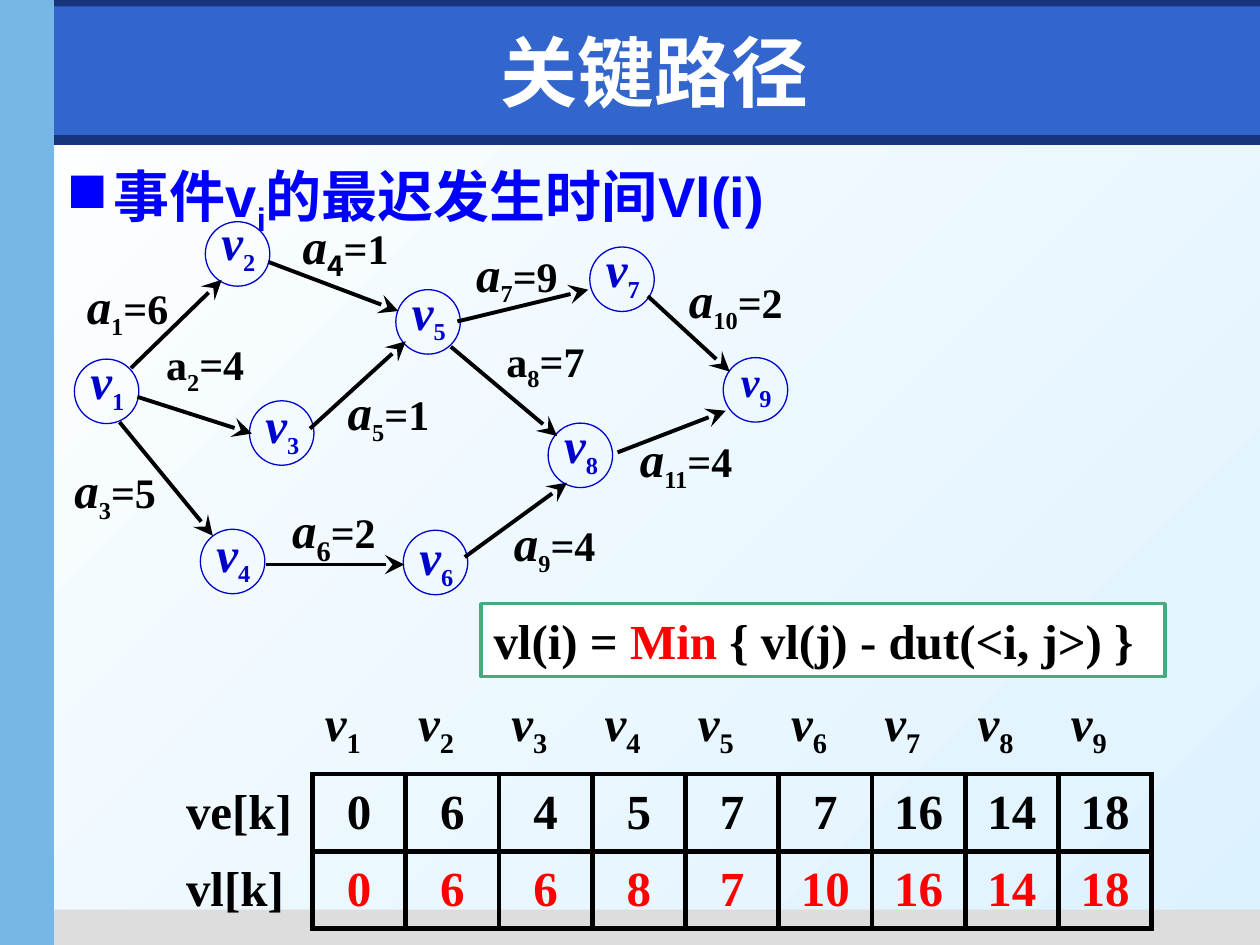
import pptx
import pptx.dml.color
import pptx.enum.shapes
import pptx.enum.text
import pptx.oxml
import pptx.oxml.ns
import pptx.util
from pptx.util import Cm

COLORS = {"white": "FFFFFF", "sky": "DDF2FF", "navy": "17347D", "grey": "DDDDDD",
          "blue": "3366CC", "side": "77B7E7", "heading": "0000FF", "vertex": "0000CC",
          "black": "000000", "red": "FF0000", "green": "45AB7D"}
SERIF, CJK = "Times New Roman", "Noto Sans CJK SC"

# colour, left, top, width, height (cm)
BARS = [("navy", 0.1, 2.72, 25.3, 0.2), ("grey", 0.89, 18.34, 24.51, 0.71),
        ("navy", 0, 0, 25.4, 0.53), ("blue", 1.09, 0.13, 24.31, 2.59),
        ("side", 0, 0, 1.09, 19.05)]

TITLE = "关键路径"
HEADING = [("事件v", {}), ("i", {"sub": True}), ("的最迟发生时间Vl(i)", {})]
FORMULA = [("vl(i) = ", {}), ("Min", {"color": "red"}), (" { vl(j) - dut(<i, j>) }", {})]

# circle left and top, rise of the label above the circle (cm)
VERTICES = [(1.5, 7.24, 0.25), (4.14, 4.47, 0.28), (5.03, 8.08, 0.2), (4.04, 10.67, 0.2),
            (7.98, 5.84, 0.25), (8.13, 10.69, 0.15), (11.89, 4.98, 0.25),
            (11.05, 8.53, 0.25), (14.58, 7.21, 0.13)]
DIAMETER = 1.3
VERTEX_SIZES = {9: 24}

# weight, label left and top, arrow start, arrow end (cm)
ACTIVITIES = [
    (6, (1.75, 5.56), (2.64, 7.42), (4.47, 5.64)),
    (4, (3.35, 6.83), (2.77, 8), (5.08, 8.74)),
    (5, (1.5, 9.27), (2.41, 8.51), (4.29, 10.8)),
    (1, (6.1, 4.34), (5.41, 5.28), (8.03, 6.27)),
    (1, (7.01, 7.7), (6.25, 8.64), (8.18, 6.88)),
    (2, (5.89, 10.08), (5.36, 11.38), (8.15, 11.38)),
    (9, (9.6, 4.9), (9.22, 6.48), (11.86, 5.84)),
    (7, (10.21, 6.76), (9.09, 6.99), (11.23, 8.79)),
    (4, (10.36, 10.34), (9.37, 11.23), (11.43, 9.73)),
    (2, (13.89, 5.44), (13.06, 5.97), (14.71, 7.49)),
    (4, (12.9, 8.64), (12.45, 9.12), (14.63, 8.28))]
LETTER_FORMATS = {2: {"size": 24, "italic": False}, 8: {"size": 24, "italic": False}}
INDEX_FORMATS = {4: {"size": 28, "name": CJK}, 6: {"size": 28}}

TIMES = [("ve[k]", "black", [0, 6, 4, 5, 7, 7, 16, 14, 18]),
         ("vl[k]", "red", [0, 6, 6, 8, 7, 10, 16, 14, 18])]
LABEL_WIDTH, CELL_WIDTH, ROW_HEIGHTS = 2.8, 1.88, [1.83, 1.56, 1.56]
NO_GRID_STYLE = "{2D5ABB26-0587-4C30-8999-92F81FD0307C}"

ALIGN = pptx.enum.text.PP_ALIGN
ANCHOR = pptx.enum.text.MSO_ANCHOR
SHAPE = pptx.enum.shapes.MSO_SHAPE


def rgb(color):
    return pptx.dml.color.RGBColor.from_string(COLORS[color])


def add_xml(parent, xml, position=None):
    element = pptx.oxml.parse_xml(xml.replace(">", f" {pptx.oxml.ns.nsdecls('a')}>", 1)
                                  if "/>" not in xml.split(">")[0] + ">"
                                  else xml.replace("/>", f" {pptx.oxml.ns.nsdecls('a')}/>", 1))
    parent.insert(len(parent) if position is None else position, element)


def write_runs(paragraph, runs, **defaults):
    """Add (text, format) runs; a format overrides the defaults."""
    for text, own in runs:
        values = {"name": SERIF, "size": 28, "bold": True, "color": "black",
                  "sub": False, **defaults, **own}
        run = paragraph.add_run()
        run.text = text
        run.font.color.rgb = rgb(values.pop("color"))
        values["size"] = pptx.util.Pt(values["size"])
        if values.pop("sub"):
            run.font._element.set("baseline", "-25000")
        for attribute, value in values.items():
            setattr(run.font, attribute, value)
        add_xml(run.font._element, f'<a:ea typeface="{CJK}"/>')


def set_frame(frame, margins=(0.25, 0.13, 0.25, 0.13), anchor=ANCHOR.TOP):
    frame.word_wrap = True
    frame.vertical_anchor = anchor
    for side, margin in zip(("left", "top", "right", "bottom"), margins):
        setattr(frame, f"margin_{side}", Cm(margin))


def add_text(slide, box, runs, align=ALIGN.LEFT, frame_format=None, **defaults):
    frame = slide.shapes.add_textbox(*map(Cm, box)).text_frame
    set_frame(frame, **(frame_format or {}))
    paragraph = frame.paragraphs[0]
    paragraph.alignment = align
    write_runs(paragraph, runs, **defaults)
    return paragraph


def add_shape(slide, kind, box, fill=None, line=None, width=0):
    shape = slide.shapes.add_shape(kind, *map(Cm, box))
    shape.shadow.inherit = False
    if fill:
        shape.fill.solid()
        shape.fill.fore_color.rgb = rgb(fill)
    else:
        shape.fill.background()
    if line:
        shape.line.color.rgb = rgb(line)
        shape.line.width = pptx.util.Pt(width)
    else:
        shape.line.fill.background()
    return shape


def add_arrow(slide, start, end):
    arrow = slide.shapes.add_connector(pptx.enum.shapes.MSO_CONNECTOR.STRAIGHT,
                                       *map(Cm, start + end))
    arrow.line.color.rgb = rgb("black")
    arrow.line.width = pptx.util.Pt(2.25)
    add_xml(arrow.line._get_or_add_ln(), '<a:tailEnd type="stealth" w="lg" len="lg"/>')
    add_xml(arrow._element.spPr, "<a:effectLst/>")


def add_graph(slide):
    for number, (left, top, rise) in enumerate(VERTICES, 1):
        add_shape(slide, SHAPE.OVAL, (left, top, DIAMETER, DIAMETER), None, "vertex", 0.75)
        add_text(slide, (left + 0.08, top - rise, 1.14, 1.52),
                 [("v", {"italic": True, "size": VERTEX_SIZES.get(number, 28)}),
                  (str(number), {"sub": True, "size": 24})],
                 ALIGN.CENTER, {"margins": (0.03, 0.08, 0, 0.03)}, color="vertex")
    for number, (weight, place, start, end) in enumerate(ACTIVITIES, 1):
        width = 1.83 if number < 10 else 2.25
        add_text(slide, (*place, width, 1.43),
                 [("a", {"size": 28, "italic": True, **LETTER_FORMATS.get(number, {})}),
                  (str(number), {"sub": True, **INDEX_FORMATS.get(number, {})}),
                  (f"={weight}", {})],
                 ALIGN.JUSTIFY, {"margins": (0, 0, 0, 0)}, size=24)
        add_arrow(slide, start, end)


def fill_cell(cell, runs, align, margin, bordered=False, **defaults):
    properties = cell._tc.get_or_add_tcPr()
    if bordered:
        for side in "LRTB":
            add_xml(properties, f'<a:ln{side} w="38100"><a:solidFill><a:srgbClr '
                                f'val="{COLORS["black"]}"/></a:solidFill></a:ln{side}>')
    cell.fill.background()
    cell.vertical_anchor = ANCHOR.MIDDLE
    for side, value in zip(("left", "right", "top", "bottom"), (margin, 0, 0, 0)):
        setattr(cell, f"margin_{side}", Cm(value))
    paragraph = cell.text_frame.paragraphs[0]
    paragraph.alignment = align
    write_runs(paragraph, runs, **defaults)


def add_times_table(slide):
    count = len(VERTICES)
    table = slide.shapes.add_table(
        len(ROW_HEIGHTS), count + 1, Cm(3.5), Cm(13.77),
        Cm(LABEL_WIDTH + count * CELL_WIDTH), Cm(sum(ROW_HEIGHTS))).table
    table.first_row = table.horz_banding = False
    table._tbl.tblPr.find(pptx.oxml.ns.qn("a:tableStyleId")).text = NO_GRID_STYLE
    for row, height in zip(table.rows, ROW_HEIGHTS):
        row.height = Cm(height)
    for index, column in enumerate(table.columns):
        column.width = Cm(CELL_WIDTH if index else LABEL_WIDTH)

    fill_cell(table.cell(0, 0), [], ALIGN.LEFT, 0)
    for number in range(1, count + 1):
        fill_cell(table.cell(0, number),
                  [("v", {"italic": True}), (str(number), {"sub": True})], ALIGN.LEFT, 0.25)
    for row, (label, color, values) in enumerate(TIMES, 1):
        fill_cell(table.cell(row, 0), [(label, {})], ALIGN.LEFT, 0.25)
        for number, value in enumerate(values, 1):
            fill_cell(table.cell(row, number), [(str(value), {})], ALIGN.CENTER, 0,
                      bordered=True, color=color)


def main():
    presentation = pptx.Presentation()
    presentation.slide_width, presentation.slide_height = Cm(25.4), Cm(19.05)
    slide = presentation.slides.add_slide(presentation.slide_layouts[6])
    background = slide.background.fill
    background.gradient()
    background.gradient_angle = 315
    for stop, color in zip(background.gradient_stops, ("white", "sky")):
        stop.color.rgb = rgb(color)
    for color, *box in BARS:
        add_shape(slide, SHAPE.RECTANGLE, box, color)

    add_text(slide, (1.5, 0.33, 23.39, 2.21), [(TITLE, {})], ALIGN.CENTER,
             {"anchor": ANCHOR.MIDDLE}, name="DejaVu Sans", size=44, color="white")
    heading = add_text(slide, (1.09, 3.12, 23.8, 14.99), HEADING,
                       name="Arial", size=32, color="heading")
    properties = heading._p.get_or_add_pPr()
    for attribute, value in {"marL": Cm(0.95), "indent": -Cm(0.95)}.items():
        properties.set(attribute, str(int(value)))
    add_xml(properties, f'<a:buClr><a:srgbClr val="{COLORS["heading"]}"/></a:buClr>')
    add_xml(properties, '<a:buChar char="■"/>')

    add_times_table(slide)
    add_graph(slide)
    formula = add_shape(slide, SHAPE.RECTANGLE, (9.7, 12.17, 13.79, 1.47), "white", "green", 2)
    set_frame(formula.text_frame, anchor=ANCHOR.MIDDLE)
    formula.text_frame.paragraphs[0].alignment = ALIGN.LEFT
    write_runs(formula.text_frame.paragraphs[0], FORMULA)
    presentation.save("out.pptx")


if __name__ == "__main__":
    main()
